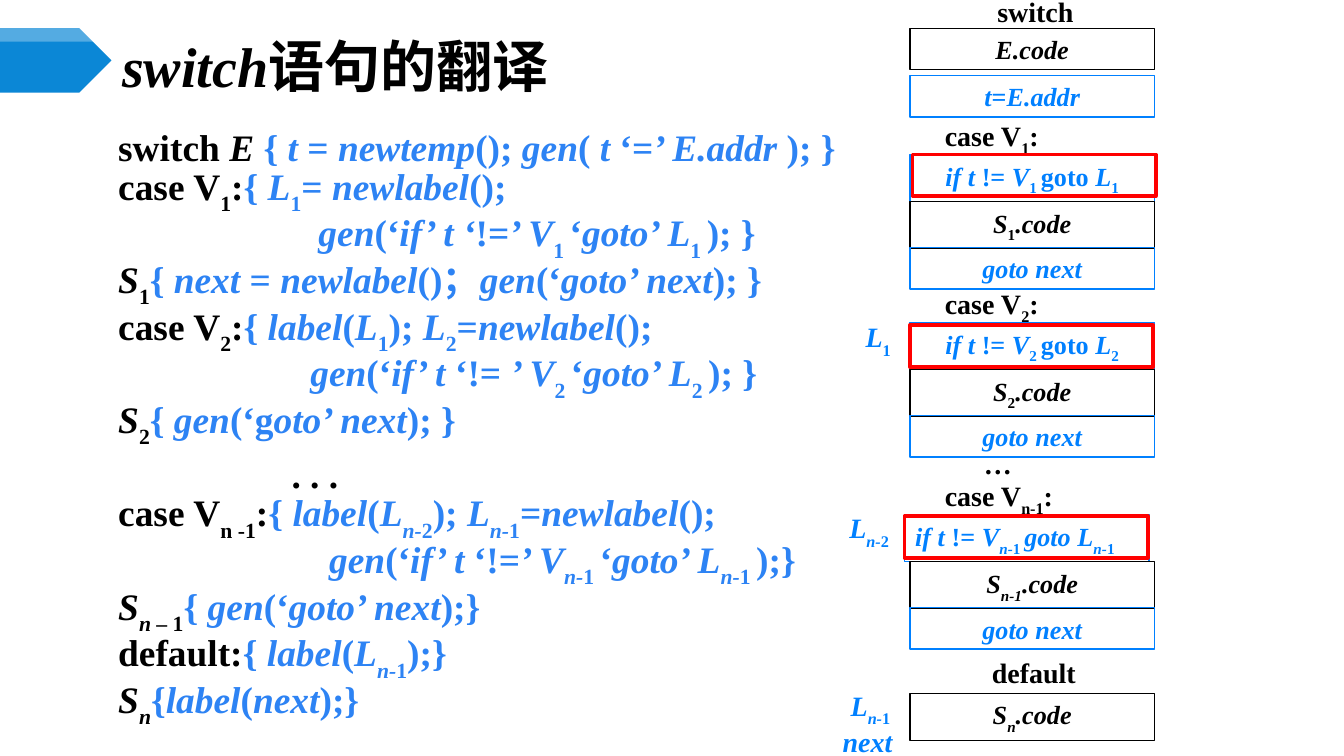
import pptx
import pptx.util
import pptx.dml.color
import pptx.enum.shapes
import pptx.enum.text
import pptx.oxml.ns
import lxml.etree

Inches = pptx.util.Inches
RGBColor = pptx.dml.color.RGBColor
ALIGN = pptx.enum.text.PP_ALIGN
ANCHOR = pptx.enum.text.MSO_ANCHOR
RECTANGLE = pptx.enum.shapes.MSO_SHAPE.RECTANGLE
qn = pptx.oxml.ns.qn

BLACK = RGBColor(0x00, 0x00, 0x00)
WHITE = RGBColor(0xFF, 0xFF, 0xFF)
RED = RGBColor(0xFF, 0x00, 0x00)
BOX_BLUE = RGBColor(0x00, 0x80, 0xFF)
ACTION_BLUE = RGBColor(0x2D, 0x83, 0xF4)
BANNER_BLUE = RGBColor(0x0B, 0x87, 0xD6)
LATIN, CJK = "Times New Roman", "Noto Sans CJK SC"


def write(p, markup, size, color):
    """Add bold runs: * toggles italic, _ toggles subscript, | toggles action blue."""
    italic = subscript = action = False
    text = ""
    for ch in markup + "|":
        if ch not in "*_|":
            text += ch
            continue
        if text:
            r = p.add_run()
            r.text = text
            r.font.name, r.font.size = LATIN, pptx.util.Pt(size)
            r.font.bold, r.font.italic = True, italic
            r.font.color.rgb = ACTION_BLUE if action else color
            rPr = r.font._element
            lxml.etree.SubElement(rPr, qn("a:ea")).set("typeface", CJK)
            if subscript:
                rPr.set("baseline", "-30000")
            text = ""
        italic ^= ch == "*"
        subscript ^= ch == "_"
        action ^= ch == "|"


def add_box(left, top, width, height, line=None, line_width=0.75):
    """Add a text box, or an unfilled rectangle when a line colour is given."""
    place = [Inches(v) for v in (left, top, width, height)]
    if line is None:
        sp = s.shapes.add_textbox(*place)
    else:
        sp = s.shapes.add_shape(RECTANGLE, *place)
        sp.shadow.inherit = False
        sp.fill.background()
        sp.line.color.rgb = line
        sp.line.width = pptx.util.Pt(line_width)
    tf = sp.text_frame
    tf.word_wrap = True
    tf.vertical_anchor = ANCHOR.TOP
    tf.margin_left = Inches(0.08)
    tf.margin_right = 0 if line is None else Inches(0.08)
    tf.margin_top = tf.margin_bottom = Inches(0.04)
    return tf


prs = pptx.Presentation()
prs.slide_width = Inches(10)
prs.slide_height = prs.slide_width * 9 // 16
s = prs.slides.add_slide(prs.slide_layouts[6])

# Title banner: an arrow with a translucent highlight
banner = [(0, 0.21), (0.59, 0.21), (0.83, 0.45), (0.59, 0.69), (0, 0.69)]
highlight = [(0, 0.21), (0.78, 0.21), (0.83, 0.26), (0.78, 0.31), (0, 0.31)]
for points, color in ((banner, BANNER_BLUE), (highlight, WHITE)):
    corners = [(Inches(x), Inches(y)) for x, y in points]
    builder = s.shapes.build_freeform(*corners[0])
    builder.add_line_segments(corners[1:], close=True)
    sp = builder.convert_to_shape()
    sp.shadow.inherit = False
    sp.fill.solid()
    sp.fill.fore_color.rgb = color
    sp.line.fill.background()
alpha = lxml.etree.SubElement(sp._element.spPr.find(".//" + qn("a:srgbClr")), qn("a:alpha"))
alpha.set("val", "30000")

# Translation scheme: left indent in inches, then the marked-up line
scheme = [
    (0, "switch *E *|{ *t* = *newtemp*(); *gen*( *t *‘=*’ E.addr *); }"),
    (0, "case V_1_:|{ *L*_1_= *newlabel*();"),
    (1.49, "|*gen*(‘*if’ t ‘*!=*’ V*_1 _‘*goto’ L*_1 _); }"),
    (0, "*S*_1_|{ *next* = *newlabel*()；*gen*(‘*goto’ next*); }"),
    (0, "case V_2_:|{ *label*(*L*_1_); *L*_2_=*newlabel*();"),
    (1.43, "|*gen*(‘*if’ t *‘!=* ’ V*_2 _‘*goto’ L*_2 _); }"),
    (0, "*S*_2_|{ *gen*(‘g*oto’ next*); }"),
    (1.29, ". . ."),
    (0, "case V_n -1_:|{ *label*(*L_n-*2_); *L_n-*1_=*newlabel*();"),
    (1.57, "|*gen*(‘*if’ t *‘!=*’ V_n-*1 _‘*goto’ L_n-*1 _);}"),
    (0, "*S_n* – 1_|{ *gen*(‘*goto’ next*);}"),
    (0, "default:|{ *label*(*L_n-*1_);}"),
    (0, "*S_n_*|{*label*(*next*);}"),
]
tf = add_box(0.8, 0.87, 6.36, 4.99)
for i, (indent, markup) in enumerate(scheme):
    p = tf.paragraphs[0] if i == 0 else tf.add_paragraph()
    p.alignment = ALIGN.JUSTIFY
    p.line_spacing = pptx.util.Pt(25)
    p._p.get_or_add_pPr().set("marL", str(Inches(indent)))
    write(p, markup, 20, BLACK)

tf = add_box(0.83, 0.29, 8.67, 0.39)
tf.vertical_anchor = ANCHOR.MIDDLE
write(tf.paragraphs[0], "*switch*语句的翻译", 30, BLACK)

# Code layout on the right: stacked cells and their labels
CELL_LEFT, CELL_WIDTH = 6.77, 1.82
LOW, TALL = 0.31, 0.35
cells = [
    (CELL_LEFT, 0.21, LOW, "*E.code*", BLACK),
    (CELL_LEFT, 0.56, LOW, "*t*=*E.addr*", BOX_BLUE),
    (CELL_LEFT, 5.16, TALL, "*S_n_.code*", BLACK),
]
labels = [
    (7.34, -0.08, 0.92, "switch", BLACK),
    (7.24, 3.28, 0.77, "…", BLACK),
    (7.3, 4.84, 0.83, "default", BLACK),
    (6.36, 2.34, 0.35, "*L*_1_", BOX_BLUE),
    (6.24, 3.76, 0.53, "*L_n-*2_", BOX_BLUE),
    (6.25, 5.08, 0.53, "*L_n-*1_", BOX_BLUE),
    (6.19, 5.35, 0.53, "*next*", BOX_BLUE),
]
cases = [
    (0.84, CELL_LEFT, "1", "*if t *!= *V*_1 _goto *L*_1_", "*S*_1_*.code*"),
    (2.09, CELL_LEFT, "2", "*if t *!= *V*_2 _goto *L*_2_", "*S*_2_*.code*"),
    (3.52, 6.73, "n-1", "*if t *!= *V_n-*1 _*goto L_n-*1_", "*S_n-1_.code*"),
]
for top, test_left, index, test, body in cases:
    labels.append((6.95, top, 1.15, f"case V_{index}_:", BLACK))
    cells += [
        (test_left, top + 0.31, TALL, test, BOX_BLUE),
        (CELL_LEFT, top + 0.66, TALL, body, BLACK),
        (CELL_LEFT, top + 1, LOW, "*goto next*", BOX_BLUE),
    ]

for left, top, height, markup, color in cells:
    p = add_box(left, top, CELL_WIDTH, height, color).paragraphs[0]
    p.alignment = ALIGN.CENTER if left == CELL_LEFT else ALIGN.LEFT
    write(p, markup, 14, color)
for left, top, width, markup, color in labels:
    height = 0.37 if "_" in markup else 0.33
    write(add_box(left, top, width, height).paragraphs[0], markup, 15, color)

# Red frames around the three tests
for left, top in ((6.73, 3.84), (6.77, 2.42), (6.79, 1.15)):
    add_box(left, top, 1.81, LOW, RED, 2)

prs.save("out.pptx")
